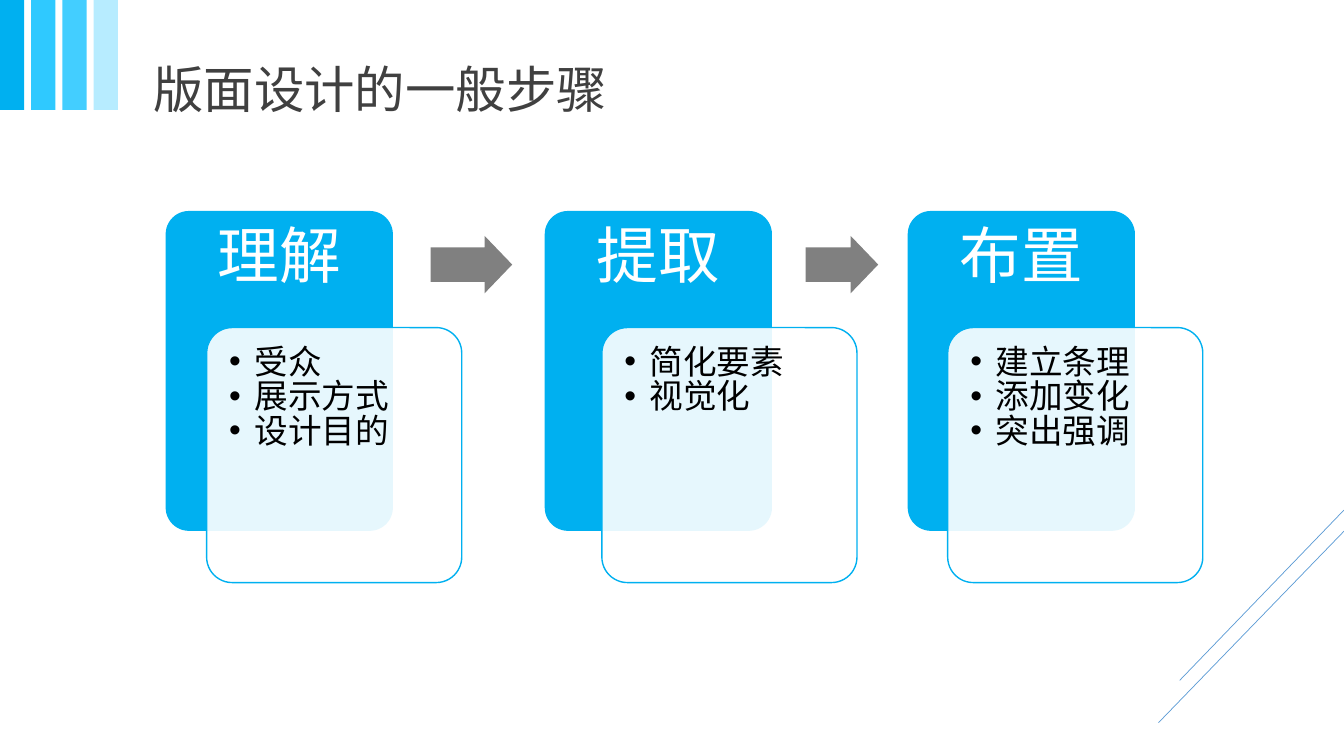
from pptx import Presentation
from pptx.dml.color import RGBColor
from pptx.enum.shapes import MSO_CONNECTOR, MSO_SHAPE
from pptx.enum.text import MSO_ANCHOR, PP_ALIGN
from pptx.oxml.ns import qn
from pptx.util import Inches, Pt
from lxml.etree import SubElement

BLUE = RGBColor(0x00, 0xB0, 0xF0)
GRAY = RGBColor(0x80, 0x80, 0x80)
DARK = RGBColor(0x40, 0x40, 0x40)
WHITE = RGBColor(0xFF, 0xFF, 0xFF)
BLACK = RGBColor(0x00, 0x00, 0x00)
LINE_BLUE = RGBColor(0x5B, 0x9B, 0xD5)
STRIPES = [BLUE, RGBColor(0x2F, 0xC9, 0xFF), RGBColor(0x43, 0xCE, 0xFF),
           RGBColor(0xB7, 0xEC, 0xFF)]

HEAD_FONT = "Noto Sans CJK JP"
LIST_FONT = "Noto Sans CJK SC"

STEPS = [
    (1.65, 2.05, "理解", ["受众", "展示方式", "设计目的"]),
    (5.41, 5.97, "提取", ["简化要素", "视觉化"]),
    (9.01, 9.40, "布置", ["建立条理", "添加变化", "突出强调"]),
]
ARROWS = [(4.27, 0.81), (7.99, 0.72)]
CORNER_LINES = [(5.06, 11.70, 6.75), (5.27, 11.49, 7.17)]


def set_attrs(obj, values):
    for name, value in values.items():
        setattr(obj, name, value)


def set_frame(tf, side, top, anchor):
    set_attrs(tf, {
        "word_wrap": True, "vertical_anchor": anchor,
        "margin_left": Inches(side), "margin_right": Inches(side),
        "margin_top": Inches(top), "margin_bottom": Inches(top),
    })


def write(p, text, font, size, color, align, spacing=1.0):
    set_attrs(p, {"alignment": align, "line_spacing": spacing,
                  "space_before": Pt(0), "space_after": Pt(0)})
    r = p.add_run()
    r.text = text
    set_attrs(r.font, {"name": font, "size": Pt(size), "bold": False})
    r.font.color.rgb = color
    SubElement(r.font._element, qn("a:ea"), typeface=font)


def add_bullet(p):
    pPr = p._p.get_or_add_pPr()
    pPr.set("marL", str(Inches(0.25)))
    pPr.set("indent", str(-Inches(0.25)))
    SubElement(pPr, qn("a:buFont"), typeface="Arial")
    SubElement(pPr, qn("a:buChar"), char="•")


def add_box(s, kind, box, fill, line=None, adjustments=()):
    sp = s.shapes.add_shape(kind, *map(Inches, box))
    sp.shadow.inherit = False
    sp.fill.solid()
    sp.fill.fore_color.rgb = fill
    if line is None:
        sp.line.fill.background()
    else:
        sp.line.color.rgb = line
        sp.line.width = Pt(1)
    for i, value in enumerate(adjustments):
        sp.adjustments[i] = value
    return sp


def add_title(s, text):
    title = s.shapes.title
    set_attrs(title, {"left": Inches(0.11), "top": Inches(0.52),
                      "width": Inches(6.01), "height": Inches(0.71)})
    tf = title.text_frame
    set_frame(tf, 0.1, 0.05, MSO_ANCHOR.MIDDLE)
    write(tf.paragraphs[0], text, HEAD_FONT, 36, DARK, PP_ALIGN.RIGHT)


def add_step(s, card_left, list_left, heading, items):
    card = add_box(s, MSO_SHAPE.ROUNDED_RECTANGLE,
                   (card_left, 2.1, 2.24, 3.16), BLUE, BLUE, [0.1])
    tf = card.text_frame
    set_frame(tf, 0.15, 0.07, MSO_ANCHOR.TOP)
    write(tf.paragraphs[0], heading, HEAD_FONT, 44, WHITE, PP_ALIGN.CENTER, 0.9)

    panel = add_box(s, MSO_SHAPE.ROUNDED_RECTANGLE,
                    (list_left, 3.25, 2.53, 2.53), WHITE, BLUE, [0.1])
    color = panel.fill._xPr.find(qn("a:solidFill"))[0]
    SubElement(color, qn("a:alpha"), val="90000")
    tf = panel.text_frame
    set_frame(tf, 0.15, 0.12, MSO_ANCHOR.TOP)
    for i, item in enumerate(items):
        p = tf.add_paragraph() if i else tf.paragraphs[0]
        write(p, item, LIST_FONT, 24, BLACK, PP_ALIGN.LEFT, 0.85)
        add_bullet(p)


def add_corner_line(s, y1, x2, y2):
    line = s.shapes.add_connector(MSO_CONNECTOR.STRAIGHT, Inches(13.33),
                                  Inches(y1), Inches(x2), Inches(y2))
    line.line.color.rgb = LINE_BLUE
    line.line.width = Pt(0.5)
    SubElement(line._element.spPr, qn("a:effectLst"))


def main():
    prs = Presentation()
    set_attrs(prs, {"slide_width": Inches(13.33), "slide_height": Inches(7.5)})
    s = prs.slides.add_slide(prs.slide_layouts[5])
    add_title(s, "版面设计的一般步骤")
    for step in STEPS:
        add_step(s, *step)
    for left, width in ARROWS:
        add_box(s, MSO_SHAPE.RIGHT_ARROW, (left, 2.34, width, 0.57), GRAY,
                adjustments=[0.6, 0.48])
    for i, color in enumerate(STRIPES):
        add_box(s, MSO_SHAPE.RECTANGLE, (0.31 * i, 0, 0.24, 1.09), color)
    for ends in CORNER_LINES:
        add_corner_line(s, *ends)
    prs.save("out.pptx")


if __name__ == "__main__":
    main()
